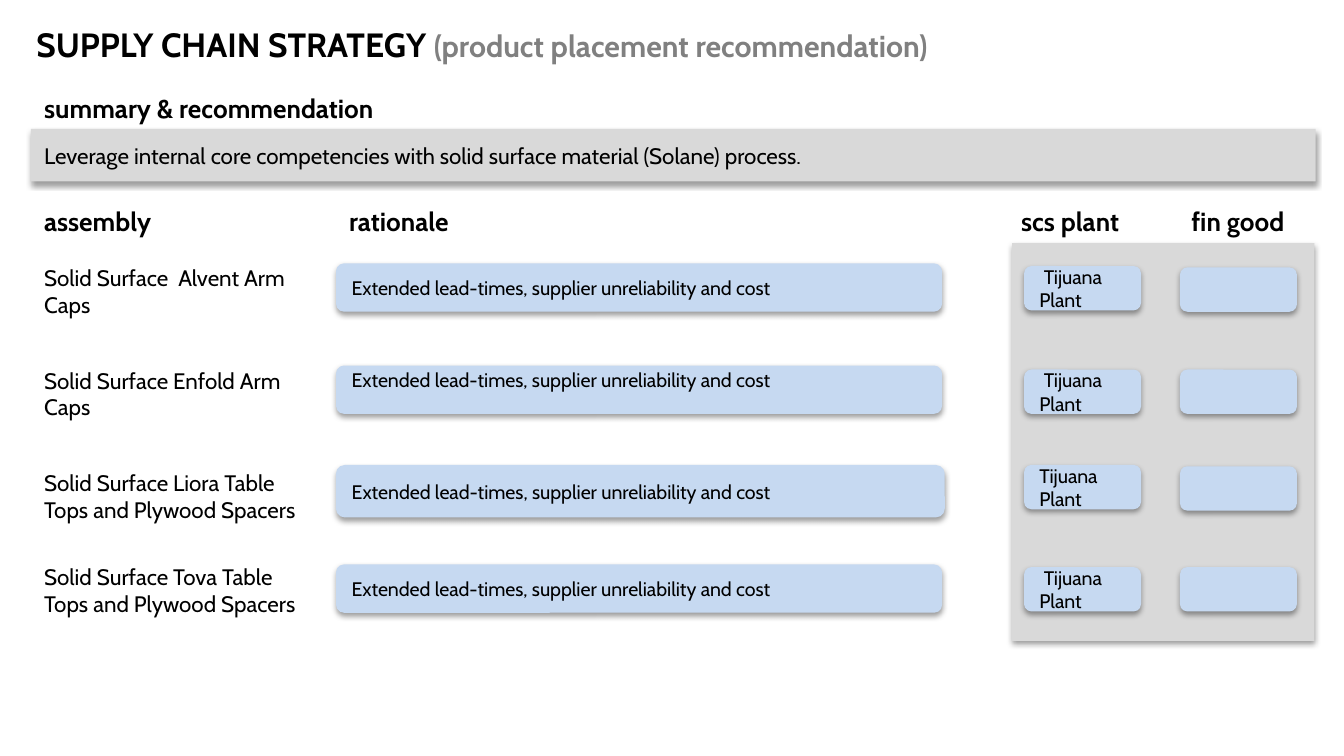
from dataclasses import dataclass

from lxml.etree import SubElement
from pptx import Presentation
from pptx.dml.color import RGBColor
from pptx.enum.shapes import MSO_SHAPE
from pptx.enum.text import MSO_ANCHOR, MSO_AUTO_SIZE, PP_ALIGN
from pptx.oxml.ns import qn
from pptx.util import Inches, Pt


@dataclass(frozen=True)
class Theme:
    font: str = "Cabin"
    ink: str = "000000"
    muted: str = "808080"
    panel: str = "D9D9D9"
    cell: str = "C6D9F1"
    title: float = 18
    subtitle: float = 16.2
    heading: float = 14
    body: float = 12
    small: float = 10.5


class SlideBuilder:
    def __init__(self, prs, theme):
        self.theme = theme
        self.s = prs.slides.add_slide(prs.slide_layouts[5])

    def run(self, p, text, size, color=None, bold=False):
        r = p.add_run()
        r.text = text
        r.font.name = self.theme.font
        r.font.size = Pt(size)
        r.font.bold = bold
        r.font.color.rgb = RGBColor.from_string(color or self.theme.ink)

    def frame(self, sp, anchor=MSO_ANCHOR.TOP, align=PP_ALIGN.LEFT, inset=0.05):
        tf = sp.text_frame
        tf.word_wrap = True
        tf.auto_size = MSO_AUTO_SIZE.NONE
        tf.vertical_anchor = anchor
        tf.margin_left = tf.margin_right = Inches(0.1)
        tf.margin_top = tf.margin_bottom = Inches(inset)
        p = tf.paragraphs[0]
        p.alignment = align
        return p

    def title(self, main, detail, x, y, w, h):
        sp = self.s.shapes.title
        sp.left, sp.top, sp.width, sp.height = map(Inches, (x, y, w, h))
        p = self.frame(sp)
        self.run(p, main, self.theme.title, bold=True)
        self.run(p, detail, self.theme.subtitle, self.theme.muted, bold=True)

    def text(self, text, x, y, w, h, size=None, bold=False, align=PP_ALIGN.LEFT):
        sp = self.s.shapes.add_textbox(*map(Inches, (x, y, w, h)))
        self.run(self.frame(sp, align=align), text, size or self.theme.body, bold=bold)

    def heading(self, text, x, y, w, align=PP_ALIGN.LEFT):
        self.text(text, x, y, w, 0.34, size=self.theme.heading, bold=True, align=align)

    def box(self, x, y, w, h, fill, kind, text="", size=None, anchor=MSO_ANCHOR.MIDDLE, inset=0.05):
        sp = self.s.shapes.add_shape(kind, *map(Inches, (x, y, w, h)))
        sp.fill.solid()
        sp.fill.fore_color.rgb = RGBColor.from_string(fill)
        sp.line.fill.background()
        self.shadow(sp)
        if text:
            self.run(self.frame(sp, anchor, inset=inset), text, size)

    def panel(self, x, y, w, h, text=""):
        self.box(x, y, w, h, self.theme.panel, MSO_SHAPE.RECTANGLE, text, self.theme.body)

    def cell(self, x, y, w, h, text="", **fmt):
        self.box(x, y, w, h, self.theme.cell, MSO_SHAPE.ROUNDED_RECTANGLE, text, self.theme.small, **fmt)

    def shadow(self, sp):
        sp.shadow.inherit = False
        effects = sp._element.spPr.find(qn("a:effectLst"))
        outer = SubElement(effects, qn("a:outerShdw"), blurRad=str(Pt(3.1)), dist=str(Pt(1.6)),
                           dir="5400000", rotWithShape="0")
        color = SubElement(outer, qn("a:srgbClr"), val=self.theme.ink)
        SubElement(color, qn("a:alpha"), val="38000")


RATIONALE = "Extended lead-times, supplier unreliability and cost"
TOP = {"anchor": MSO_ANCHOR.TOP, "inset": 0}
ROWS = [
    ("Solid Surface  Alvent Arm Caps", 1.92, (1.96, 4.51, 0.36), {}, " Tijuana Plant", 1.98, 1.99),
    ("Solid Surface Enfold Arm Caps", 2.68, (2.72, 4.51, 0.36), TOP, " Tijuana Plant", 2.75, 2.75),
    ("Solid Surface Liora Table Tops and Plywood Spacers", 3.44, (3.46, 4.53, 0.39), {}, "Tijuana Plant", 3.46, 3.47),
    ("Solid Surface Tova Table Tops and Plywood Spacers", 4.14, (4.2, 4.51, 0.36), {}, " Tijuana Plant", 4.22, 4.22),
]


def main():
    prs = Presentation()
    prs.slide_width = Inches(10)
    prs.slide_height = prs.slide_width * 9 // 16
    b = SlideBuilder(prs, Theme())

    b.title("SUPPLY CHAIN STRATEGY ", "(product placement recommendation)", 0.17, 0.13, 8.5, 0.32)
    b.panel(0.23, 0.96, 9.56, 0.39,
            "Leverage internal core competencies with solid surface material (Solane) process.")
    b.heading("summary & recommendation", 0.23, 0.64, 3.69)
    b.panel(7.53, 1.81, 2.25, 2.96)

    for text, x, w in [("assembly", 0.23, 2), ("rationale", 2.5, 2), ("scs plant", 7.5, 1.16)]:
        b.heading(text, x, 1.48, w)
    b.heading("fin good", 8.67, 1.48, 1.08, align=PP_ALIGN.CENTER)

    for assembly, label_y, (bar_y, bar_w, bar_h), fmt, plant, plant_y, good_y in ROWS:
        b.cell(2.5, bar_y, bar_w, bar_h, RATIONALE, **fmt)
        b.cell(7.62, plant_y, 0.87, 0.33, plant)
        b.cell(8.78, good_y, 0.87, 0.33)
        b.text(assembly, 0.23, label_y, 2.13, 0.5)

    prs.save("out.pptx")


if __name__ == "__main__":
    main()
